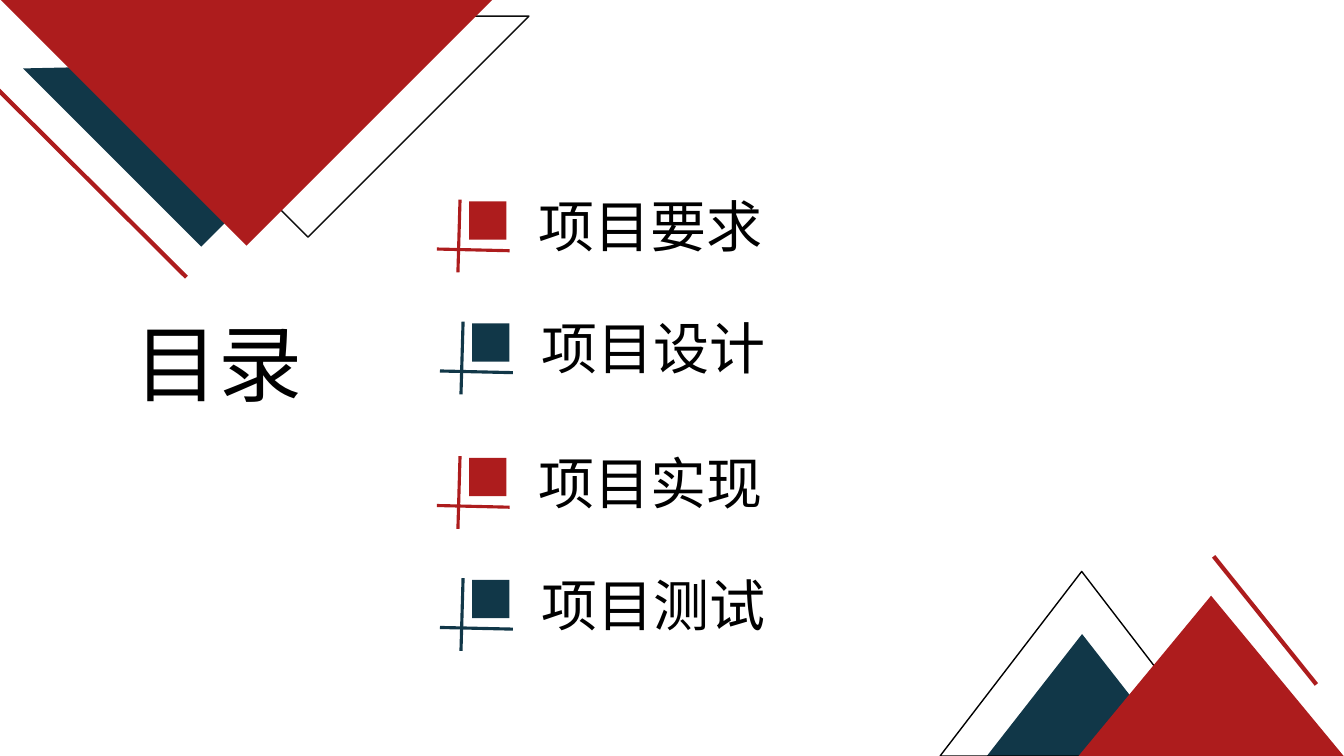
from dataclasses import dataclass

from lxml.etree import SubElement
from pptx import Presentation
from pptx.dml.color import RGBColor
from pptx.enum.shapes import MSO_CONNECTOR, MSO_SHAPE
from pptx.enum.text import MSO_ANCHOR, MSO_AUTO_SIZE, PP_ALIGN
from pptx.oxml.ns import qn
from pptx.util import Pt


@dataclass(frozen=True)
class Theme:
    red: RGBColor = RGBColor(0xAD, 0x1C, 0x1D)
    navy: RGBColor = RGBColor(0x11, 0x37, 0x48)
    ink: RGBColor = RGBColor(0x0D, 0x0D, 0x0D)
    black: RGBColor = RGBColor(0, 0, 0)
    font: str = "Noto Sans CJK SC"
    title_size: float = 60
    item_size: float = 40
    line_height: float = 47.9
    hairline: float = 1
    marker_line: float = 2.25
    accent_line: float = 3


class SlideBuilder:
    def __init__(self, slide, theme):
        self.s = slide
        self.theme = theme

    def shape(self, parent, kind, box, fill=None, line=None, rotation=0):
        sp = parent.shapes.add_shape(kind, *map(Pt, box))
        sp.shadow.inherit = False
        sp.rotation = rotation
        if fill is None:
            sp.fill.background()
        else:
            sp.fill.solid()
            sp.fill.fore_color.rgb = fill
        if line is None:
            sp.line.fill.background()
        else:
            sp.line.color.rgb = line
            sp.line.width = Pt(self.theme.hairline)

    def line(self, parent, start, end, color, width):
        cn = parent.shapes.add_connector(MSO_CONNECTOR.STRAIGHT, *map(Pt, start + end))
        cn.line.color.rgb = color
        cn.line.width = Pt(width)
        SubElement(cn._element.spPr, qn("a:effectLst"))

    def marker(self, left, top, color):
        group = self.s.shapes.add_group_shape()
        width = self.theme.marker_line
        self.line(group, (left + 16.5, top), (left + 15, top + 52), color, width)
        self.line(group, (left, top + 35.3), (left + 52, top + 36.5), color, width)
        self.shape(group, MSO_SHAPE.RECTANGLE, (left + 23, top + 1.2, 26.6, 27.4), color)

    def frame(self, sp, box, anchor):
        sp.left, sp.top, sp.width, sp.height = map(Pt, box)
        tf = sp.text_frame
        tf.word_wrap = True
        tf.auto_size = MSO_AUTO_SIZE.NONE
        tf.vertical_anchor = anchor
        return tf

    def style(self, p, size, before=0):
        p.alignment = PP_ALIGN.JUSTIFY
        p.space_before = Pt(before)
        p.space_after = Pt(0)
        for r in p.runs:
            r.font.size = Pt(size)
            r.font.name = self.theme.font
            r.font.color.rgb = self.theme.black
            SubElement(r._r.get_or_add_rPr(), qn("a:ea"), typeface=self.theme.font)

    def title(self, text, box):
        tf = self.frame(self.s.shapes.title, box, MSO_ANCHOR.MIDDLE)
        tf.text = text
        self.style(tf.paragraphs[0], self.theme.title_size)

    def items(self, texts, box, offsets):
        tf = self.frame(self.s.placeholders[1], box, MSO_ANCHOR.TOP)
        tf.text = "\n".join(texts)
        previous = None
        for p, (indent, top) in zip(tf.paragraphs, offsets):
            pPr = p._p.get_or_add_pPr()
            pPr.set("marL", str(Pt(indent)))
            pPr.set("indent", "0")
            SubElement(pPr, qn("a:buNone"))
            before = 0 if previous is None else top - previous - self.theme.line_height
            self.style(p, self.theme.item_size, before)
            previous = top


def main():
    prs = Presentation()
    prs.slide_width, prs.slide_height = Pt(960), Pt(540)
    theme = Theme()
    b = SlideBuilder(prs.slides.add_slide(prs.slide_layouts[1]), theme)

    corner = MSO_SHAPE.RIGHT_TRIANGLE
    b.shape(b.s, corner, (108.4, -100.1, 223.2, 223.2), line=theme.ink, rotation=315)
    b.shape(b.s, corner, (52.6, -43.9, 187.9, 180), theme.navy, rotation=315)
    b.shape(b.s, corner, (51.5, -125.3, 249.1, 249.1), theme.red, rotation=315)
    b.line(b.s, (133.2, 198), (-7.2, 58.3), theme.red, theme.accent_line)

    peaks = b.s.shapes.add_group_shape()
    peak = MSO_SHAPE.ISOSCELES_TRIANGLE
    b.shape(peaks, peak, (704.9, 452.9, 136.1, 87.1), theme.navy)
    b.shape(peaks, peak, (671.5, 408.2, 202.3, 131.8), line=theme.black)
    b.shape(peaks, peak, (770.4, 425.5, 189.4, 114.5), theme.red)
    b.line(peaks, (940.3, 488.9), (866.9, 397.4), theme.red, theme.accent_line)

    b.title("目录", (88.6, 217.5, 146.9, 82))
    offsets = [(x, pair + y) for pair in (0, 183.2) for x, y in ((0, 0), (2.2, 87.1))]
    b.items(["项目要求", "项目设计", "项目实现", "项目测试"], (377.4, 133.1, 375.8, 340), offsets)
    for i, (x, y) in enumerate(offsets):
        b.marker(312.1 + x, 142.6 + y, (theme.red, theme.navy)[i % 2])

    prs.save("out.pptx")


if __name__ == "__main__":
    main()
